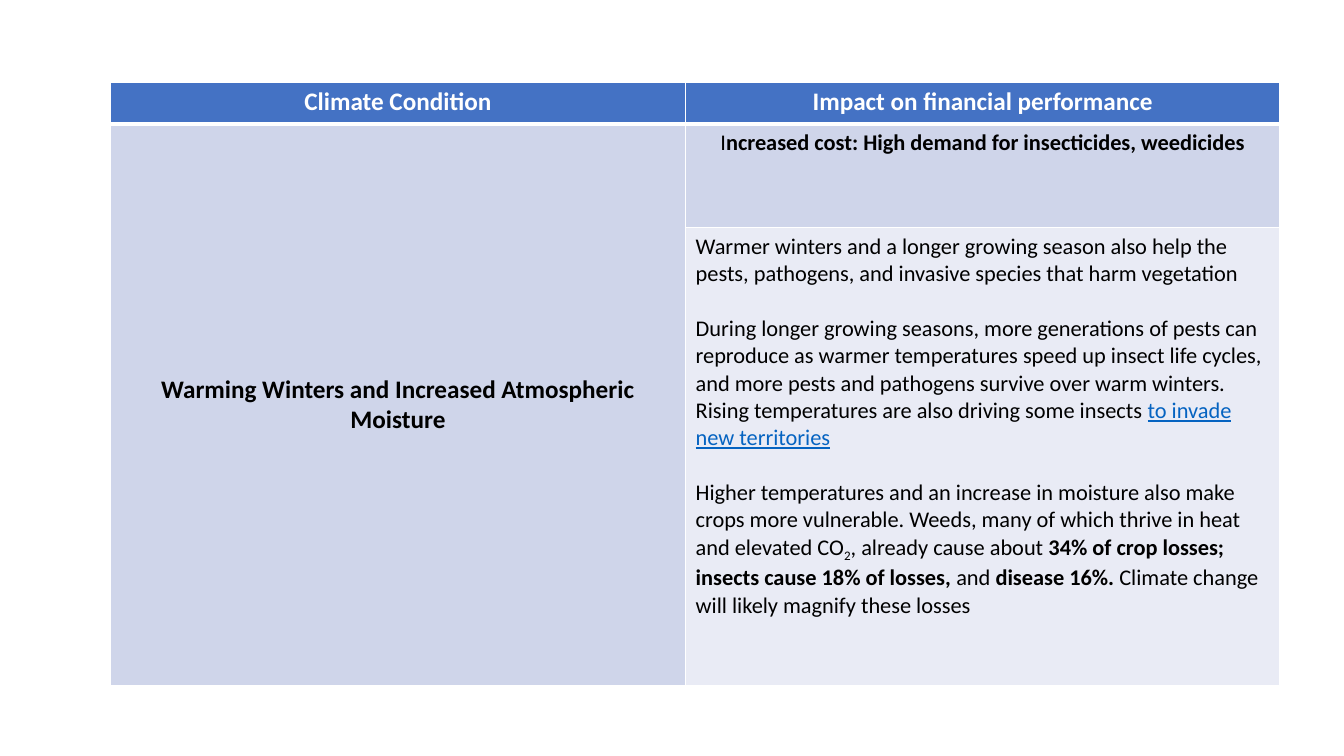
import lxml.etree
import pptx
import pptx.dml.color
import pptx.enum.text
import pptx.oxml.ns
import pptx.util

PX = 9525
ALIGN = pptx.enum.text.PP_ALIGN
ANCHOR = pptx.enum.text.MSO_ANCHOR
WHITE, BLACK, LINK = "FFFFFF", "000000", "0563C1"
HEAD, BAND, PALE = "4472C4", "CFD5EA", "E9EBF5"
COLS = (548, 566)
ROWS = (40, 99, 436)

PESTS = [
    [("Warmer winters and a longer growing season also help the pests, pathogens, "
      "and invasive species that harm vegetation", "")],
    [("During longer growing seasons, more generations of pests can reproduce as "
      "warmer temperatures speed up insect life cycles, and more pests and pathogens "
      "survive over warm winters. Rising temperatures are also driving some insects ", ""),
     ("to invade new territories", "link")],
    [("Higher temperatures and an increase in moisture also make crops more "
      "vulnerable. Weeds, many of which thrive in heat and elevated CO", ""),
     ("2", "sub"),
     (", already cause about ", ""),
     ("34% of crop losses; insects cause 18% of losses,", "bold"),
     (" and ", ""),
     ("disease 16%.", "bold"),
     (" Climate change will likely magnify these losses", "")],
]


def color(code):
    """Turn a hex string into a colour."""
    return pptx.dml.color.RGBColor.from_string(code)


def edge(cell, side, width):
    """Draw one white border of a cell."""
    name = pptx.oxml.ns.qn
    line = lxml.etree.SubElement(cell._tc.get_or_add_tcPr(), name("a:ln" + side),
                                 w=str(int(pptx.util.Pt(width))))
    fill = lxml.etree.SubElement(line, name("a:solidFill"))
    lxml.etree.SubElement(fill, name("a:srgbClr"), val=WHITE)


def paint(cell, row, code):
    """Give a cell its borders and fill."""
    widths = {"L": 1, "R": 1, "T": 3 if row == 1 else 1, "B": 3 if row == 0 else 1}
    for side, width in widths.items():
        edge(cell, side, width)
    cell.fill.solid()
    cell.fill.fore_color.rgb = color(code)


def write(cell, paras, size, ink=BLACK, bold=False, align=ALIGN.LEFT, gap=0):
    """Fill a cell with paragraphs of styled runs."""
    frame = cell.text_frame
    for num, parts in enumerate(paras):
        para = frame.add_paragraph() if num else frame.paragraphs[0]
        para.alignment = align
        if num:
            para.space_before = pptx.util.Pt(gap)
        font = para.font
        font.name, font.size, font.bold = "Calibri", pptx.util.Pt(size), bold
        font.color.rgb = color(ink)
        for text, style in parts:
            run = para.add_run()
            run.text = text
            if style == "bold":
                run.font.bold = True
            elif style == "link":
                run.font.underline = True
                run.font.color.rgb = color(LINK)
            elif style == "sub":
                run._r.get_or_add_rPr().set("baseline", "-25000")


def impact(slide, left, top):
    """Place the table of climate conditions and their impact."""
    table = slide.shapes.add_table(len(ROWS), len(COLS), left * PX, top * PX,
                                   sum(COLS) * PX, sum(ROWS) * PX).table
    for col, width in zip(table.columns, COLS):
        col.width = width * PX
    for row, height in zip(table.rows, ROWS):
        row.height = height * PX
    fills = ((HEAD, HEAD), (BAND, BAND), (BAND, PALE))
    for row, codes in enumerate(fills):
        for col, code in enumerate(codes):
            paint(table.cell(row, col), row, code)

    for col, title in enumerate(("Climate Condition", "Impact on financial performance")):
        write(table.cell(0, col), [[(title, "")]], 18, WHITE, True, ALIGN.CENTER)
    cause = table.cell(1, 0)
    cause.merge(table.cell(2, 0))
    cause.vertical_anchor = ANCHOR.MIDDLE
    write(cause, [[("Warming Winters and Increased Atmospheric Moisture", "")]],
          18, bold=True, align=ALIGN.CENTER)
    cost = [("I", ""), ("ncreased cost: High demand for insecticides, weedicides", "bold")]
    write(table.cell(1, 1), [cost], 16, align=ALIGN.CENTER)
    write(table.cell(2, 1), PESTS, 16, gap=19.5)


def main():
    """Build the slide and save it."""
    deck = pptx.Presentation()
    deck.slide_width, deck.slide_height = 1280 * PX, 720 * PX
    slide = deck.slides.add_slide(deck.slide_layouts[6])
    impact(slide, 105, 78)
    deck.save("out.pptx")


if __name__ == "__main__":
    main()
